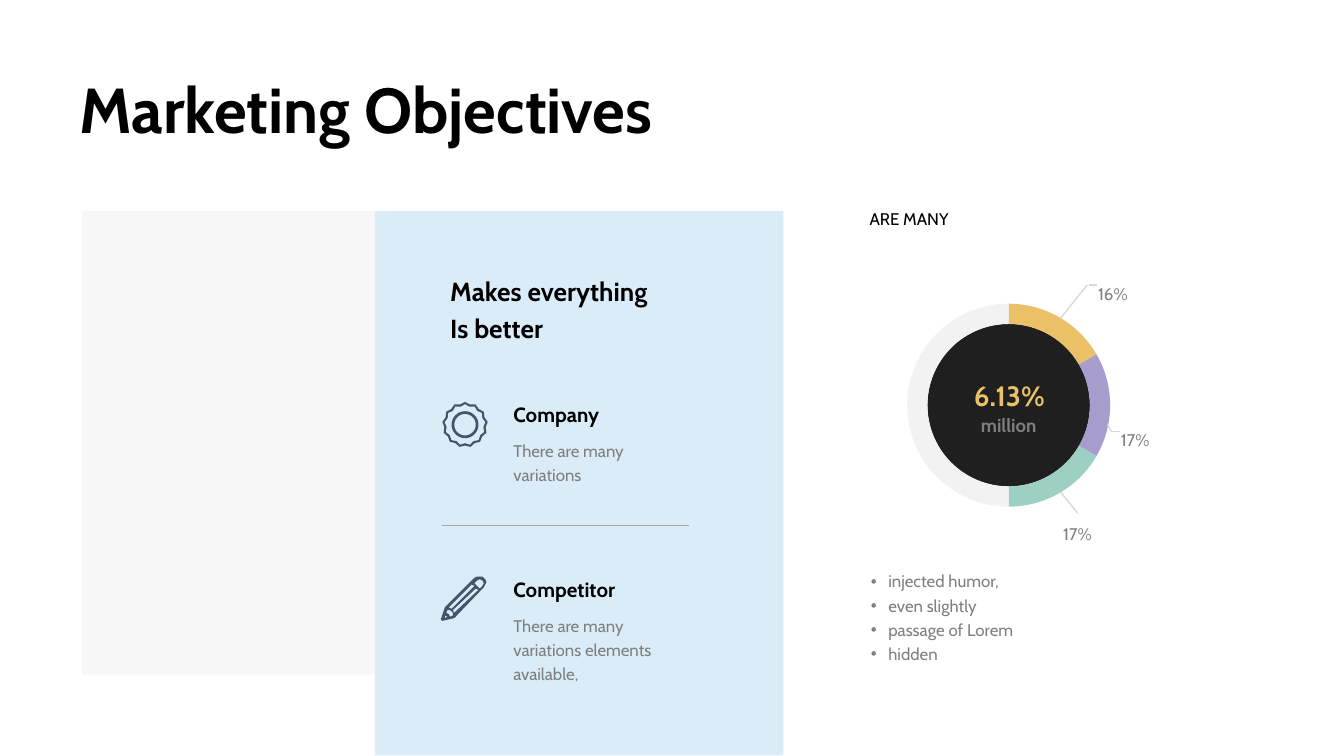
import math

from lxml import etree
from pptx import Presentation
from pptx.dml.color import RGBColor
from pptx.enum import shapes, text
from pptx.oxml import ns
from pptx.util import Inches, Pt

FONT = "Cabin"
COLORS = {
    "black": "000000",
    "gray": "7F7F7F",
    "sky": "DAECF7",
    "icon": "44546A",
    "divider": "A5A5A5",
    "leader": "D8D8D8",
    "gold": "EAC167",
    "mint": "9DD0C2",
    "violet": "A69DCC",
    "pale": "F2F2F2",
}

# Ring segments: start angle, end angle, colour
SEGMENTS = [(270, 330, "gold"), (30, 90, "mint"),
            (330, 30, "violet"), (90, 270, "pale")]
LEADERS = [((8.09, 2.12), (7.89, 2.37)), ((8.1, 2.12), (8.16, 2.12)),
           ((8.27, 3.21), (8.24, 3.16)), ((8.27, 3.21), (8.33, 3.21)),
           ((7.89, 3.66), (8.02, 3.82))]
PERCENTS = [(7.84, 3.76, "17%"), (8.27, 3.06, "17%"), (8.1, 1.97, "16%")]
BULLETS = ["injected humor,", "even slightly", "passage of Lorem", "hidden"]

# Pencil: outline, eraser end, two body stripes, wood and lead
PENCIL = [
    [(3.57, 4.29), (3.55, 4.29), (3.53, 4.3), (3.31, 4.52), (3.28, 4.61),
     (3.29, 4.62), (3.38, 4.6), (3.6, 4.37), (3.61, 4.35), (3.62, 4.33),
     (3.61, 4.31), (3.6, 4.3), (3.59, 4.29)],
    [(3.57, 4.31), (3.59, 4.32), (3.6, 4.34), (3.59, 4.36), (3.57, 4.38),
     (3.53, 4.34), (3.55, 4.32)],
    [(3.51, 4.35), (3.53, 4.36), (3.36, 4.53), (3.34, 4.52)],
    [(3.54, 4.38), (3.56, 4.39), (3.38, 4.56), (3.37, 4.54)],
    [(3.33, 4.54), (3.35, 4.54), (3.37, 4.56), (3.37, 4.58), (3.35, 4.59),
     (3.34, 4.57), (3.32, 4.56)],
    [(3.31, 4.58), (3.33, 4.59), (3.31, 4.6)],
]


def rgb(name):
    return RGBColor.from_string(COLORS[name])


def paint(shape, color, alpha=None):
    """Plain fill without line or shadow; alpha is a percentage."""
    shape.shadow.inherit = False
    shape.line.fill.background()
    shape.fill.solid()
    shape.fill.fore_color.rgb = rgb(color)
    if alpha is not None:
        tone = shape.fill._xPr.find(".//" + ns.qn("a:srgbClr"))
        etree.SubElement(tone, ns.qn("a:alpha"), val=str(alpha * 1000))


def add_block(page, kind, at, color, alpha=None):
    shape = page.shapes.add_shape(kind, *map(Inches, at))
    paint(shape, color, alpha)
    return shape


def add_bullet(para):
    props = para._p.get_or_add_pPr()
    props.set("marL", str(Inches(0.14)))
    props.set("indent", str(-Inches(0.13)))
    tint = etree.SubElement(props, ns.qn("a:buClr"))
    etree.SubElement(tint, ns.qn("a:srgbClr"), val=COLORS["gray"])
    etree.SubElement(props, ns.qn("a:buFont"), typeface="Arial")
    etree.SubElement(props, ns.qn("a:buChar"), char="•")


def add_text(page, at, lines, size, color, bold=False, spacing=None,
             align=None, bullets=False, grow=True):
    box = page.shapes.add_textbox(*map(Inches, at))
    frame = box.text_frame
    frame.word_wrap = True
    if grow:
        frame.auto_size = text.MSO_AUTO_SIZE.SHAPE_TO_FIT_TEXT
    frame.margin_left = frame.margin_right = Inches(0.07)
    frame.margin_top = frame.margin_bottom = Inches(0.04)
    for i, line in enumerate(lines):
        para = frame.add_paragraph() if i else frame.paragraphs[0]
        if bullets:
            add_bullet(para)
        para.alignment = align
        para.line_spacing = spacing
        span = para.add_run()
        span.text = line
        span.font.name = FONT
        span.font.size = Pt(size)
        span.font.bold = bold
        span.font.color.rgb = rgb(color)


def add_line(page, start, end, color, width):
    line = page.shapes.add_connector(
        shapes.MSO_CONNECTOR.STRAIGHT, *map(Inches, start + end))
    line.line.color.rgb = rgb(color)
    line.line.width = Pt(width)
    etree.SubElement(line._element.spPr, ns.qn("a:effectLst"))


def add_icon(page, contours):
    """One freeform whose inner contours are cut out as holes."""
    contours = [[(Inches(x), Inches(y)) for x, y in c] for c in contours]
    builder = page.shapes.build_freeform(*contours[0][0])
    for i, contour in enumerate(contours):
        if i:
            builder.move_to(*contour[0])
        builder.add_line_segments(contour[1:], close=True)
    paint(builder.convert_to_shape(), "icon")


def radial(radii, count):
    """Points around the badge centre, cycling through the radii."""
    turn = 2 * math.pi / count
    return [(3.46 + radii[i % len(radii)] * math.sin(i * turn),
             3.16 - radii[i % len(radii)] * math.cos(i * turn))
            for i in range(count)]


def add_topic(page, top, title, body, width, height):
    add_text(page, (3.75, top + 0.26, width, height), [body], 9, "gray",
             spacing=1.2)
    add_text(page, (3.75, top, 1.18, 0.25), [title], 11, "black", bold=True)


def add_ring(page):
    center = text.PP_ALIGN.CENTER
    add_text(page, (6.99, 2.78, 1.04, 0.33), ["6.13%"], 15, "gold",
             bold=True, align=center)
    add_text(page, (6.93, 3.04, 1.15, 0.24), ["million"], 10, "gray",
             bold=True, align=center)
    for start, end, color in SEGMENTS:
        arc = add_block(page, shapes.MSO_SHAPE.BLOCK_ARC,
                        (6.75, 2.26, 1.51, 1.51), color)
        # Angles are stored in 60000ths, adjustments in 100000ths
        arc.adjustments[0] = start * 0.6
        arc.adjustments[1] = end * 0.6
        arc.adjustments[2] = 0.1
    for start, end in LEADERS:
        add_line(page, start, end, "leader", 0.75)
    for left, top, label in PERCENTS:
        add_text(page, (left, top, 0.39, 0.27), [label], 9, "gray",
                 spacing=1.67)


def main():
    deck = Presentation()
    deck.slide_width = Inches(10)
    deck.slide_height = Inches(10 * 9 / 16)
    page = deck.slides.add_slide(deck.slide_layouts[6])

    # Panels and ring core
    rectangle = shapes.MSO_SHAPE.RECTANGLE
    add_block(page, rectangle, (0.61, 1.57, 2.18, 3.45), "black", 3)
    add_block(page, shapes.MSO_SHAPE.OVAL, (6.9, 2.41, 1.21, 1.21), "black", 88)
    add_block(page, rectangle, (2.79, 1.57, 3.04, 4.05), "sky")

    # Headings
    add_text(page, (0.52, 0.48, 7.13, 0.65), ["Marketing Objectives"], 34,
             "black", bold=True, grow=False)
    add_text(page, (3.28, 1.96, 2.32, 0.59), ["Makes everything", "Is better"],
             14, "black", bold=True, spacing=1.2)
    add_text(page, (6.4, 1.51, 1.92, 0.23), ["ARE MANY"], 9, "black")

    # Topics with icons
    add_icon(page, [radial((0.17, 0.155), 26), radial((0.153, 0.138), 26),
                    radial((0.1,), 48), radial((0.08,), 48)])
    add_topic(page, 2.95, "Company", "There are many variations", 1.18, 0.41)
    add_line(page, (3.29, 3.91), (5.13, 3.91), "divider", 1)
    add_icon(page, PENCIL)
    add_topic(page, 4.25, "Competitor",
              "There are many variations elements available,", 1.3, 0.59)

    # Ring and its list
    add_ring(page)
    add_text(page, (6.4, 4.18, 1.33, 0.77), BULLETS, 9, "gray", spacing=1.2,
             bullets=True)

    deck.save("out.pptx")


if __name__ == "__main__":
    main()
